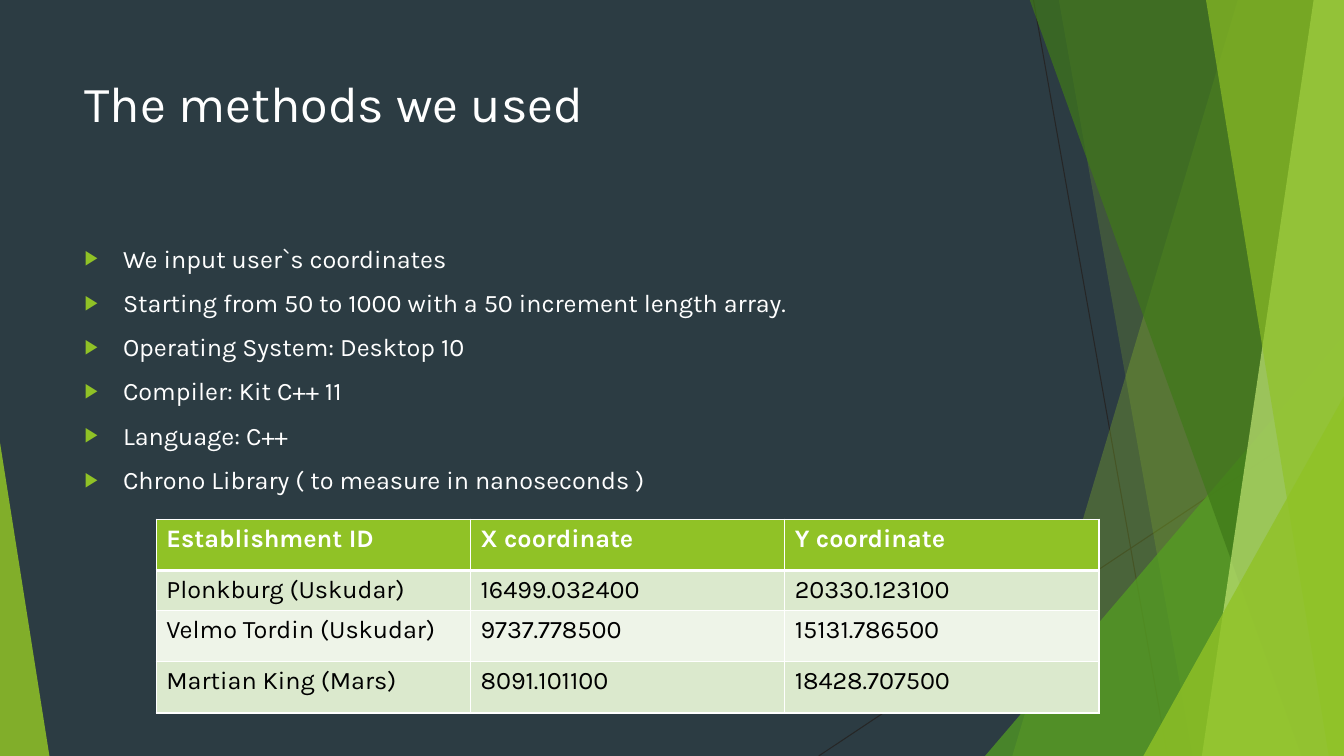
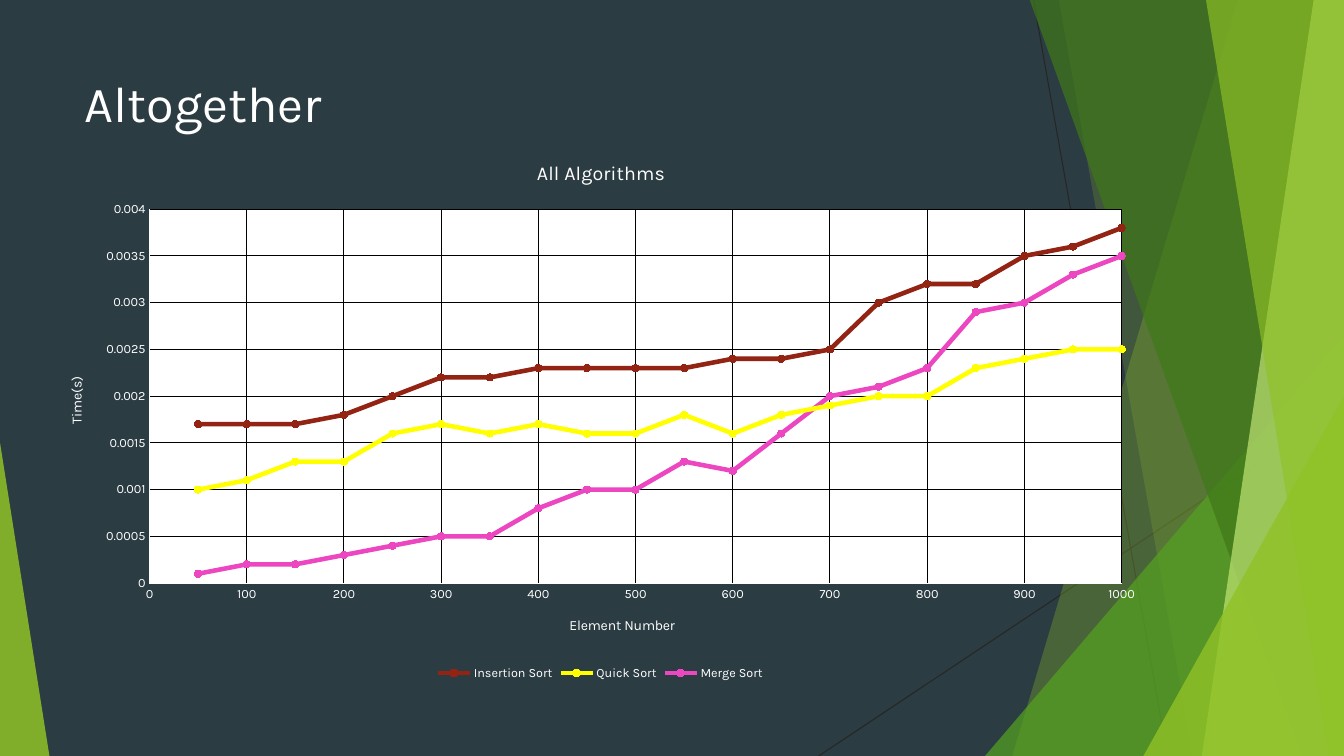
from itertools import count

from lxml import etree
from pptx import Presentation
from pptx.chart.data import XyChartData
from pptx.dml.color import RGBColor
from pptx.enum.chart import XL_CHART_TYPE as ChartType
from pptx.enum.chart import XL_LEGEND_POSITION as LegendPosition
from pptx.enum.chart import XL_MARKER_STYLE as MarkerStyle
from pptx.enum.chart import XL_TICK_MARK as TickMark
from pptx.enum.shapes import MSO_CONNECTOR as Connector
from pptx.enum.shapes import MSO_SHAPE as Preset
from pptx.enum.text import MSO_ANCHOR as Anchor
from pptx.enum.text import MSO_AUTO_SIZE as AutoSize
from pptx.enum.text import PP_ALIGN as Align
from pptx.oxml.ns import qn
from pptx.util import Inches, Pt

FONT = "Karla"
WIDTH, HEIGHT = 13.33, 7.5
WHITE, BLACK, SLATE, CHARCOAL = "FFFFFF", "000000", "2C3C43", "262626"
LIME, GREEN, FOREST, PALE_LIME = "90C226", "54A021", "3F7819", "C0E474"
ROW_TINTS = ["DBE9CD", "EEF4E8"]

THIN_LINES = [(10.25, 0, 11.58, 7.5), (13.33, 4.03, 8.12, 7.5)]
FACETS = [
    ("band", LIME, 30, (12.28, 10.04)),
    ("band", LIME, 20, (10.5, 11.83)),
    ("triangle", GREEN, 72, (9.77, 3.33, 3.56, 1)),
    ("band", FOREST, 70, (10.21, 12.91)),
    ("band", PALE_LIME, 70, (13.03, 11.92)),
    ("band", LIME, 65, (11.96, 13.18)),
    ("triangle", LIME, 80, (11.34, 3.93, 1.99, 1)),
    ("triangle", LIME, 85, (0, 4.39, 0.49, 0)),
]

METHODS = [
    "We input user`s coordinates",
    "Starting from 50 to 1000 with a 50 increment length array.",
    "Operating System: Desktop 10",
    "Compiler: Kit C++ 11",
    "Language: C++",
    "Chrono Library ( to measure in nanoseconds )",
]
PLACES = [
    ("Establishment ID", "X coordinate", "Y coordinate"),
    ("Plonkburg (Uskudar)", "16499.032400", "20330.123100"),
    ("Velmo Tordin (Uskudar)", "9737.778500", "15131.786500"),
    ("Martian King (Mars)", "8091.101100", "18428.707500"),
]
ROW_HEIGHTS = [0.51, 0.39, 0.51, 0.51]

ELEMENT_NUMBERS = range(50, 1001, 50)
TIMES = [
    ("Insertion Sort", "932313",
     [0.0017, 0.0017, 0.0017, 0.0018, 0.002, 0.0022, 0.0022, 0.0023, 0.0023, 0.0023,
      0.0023, 0.0024, 0.0024, 0.0025, 0.003, 0.0032, 0.0032, 0.0035, 0.0036, 0.0038]),
    ("Quick Sort", "FFFF00",
     [0.001, 0.0011, 0.0013, 0.0013, 0.0016, 0.0017, 0.0016, 0.0017, 0.0016, 0.0016,
      0.0018, 0.0016, 0.0018, 0.0019, 0.002, 0.002, 0.0023, 0.0024, 0.0025, 0.0025]),
    ("Merge Sort", "EC46C1",
     [0.0001, 0.0002, 0.0002, 0.0003, 0.0004, 0.0005, 0.0005, 0.0008, 0.001, 0.001,
      0.0013, 0.0012, 0.0016, 0.002, 0.0021, 0.0023, 0.0029, 0.003, 0.0033, 0.0035]),
]


def rgb(color):
    return RGBColor.from_string(color)


def add_child(parent, tag, **attributes):
    child = etree.SubElement(parent, qn(tag))
    for name, value in attributes.items():
        child.set(name, str(value))
    return child


def paint(fill, color):
    fill.solid()
    fill.fore_color.rgb = rgb(color)


def style_line(line, color, width):
    paint(line.fill, color)
    line.width = Pt(width)


def style_font(font, size, color=WHITE, bold=False):
    font.name, font.size, font.bold = FONT, Pt(size), bold
    font.color.rgb = rgb(color)


def place(shape, left, top, width, height):
    shape.left, shape.top = Inches(left), Inches(top)
    shape.width, shape.height = Inches(width), Inches(height)


def draw_facet(shapes, kind, color, opacity, geometry):
    if kind == "band":
        top_left, bottom_left = geometry
        corners = [(WIDTH, -0.01), (WIDTH, HEIGHT), (bottom_left, HEIGHT)]
        builder = shapes.build_freeform(Inches(top_left), Inches(-0.01))
        builder.add_line_segments([(Inches(x), Inches(y)) for x, y in corners])
        shape = builder.convert_to_shape()
    else:
        left, top, width, apex = geometry
        shape = shapes.add_shape(Preset.ISOSCELES_TRIANGLE, Inches(left), Inches(top),
                                 Inches(width), Inches(HEIGHT - top))
        shape.adjustments[0] = apex
    shape.shadow.inherit = False
    paint(shape.fill, color)
    shape.line.fill.background()
    add_child(shape.element.find(".//" + qn("a:srgbClr")), "a:alpha", val=opacity * 1000)


def build_master(master, slide):
    """Draw the backdrop on a slide and move it into the slide master."""
    paint(master.background.fill, SLATE)
    for ends in THIN_LINES:
        line = slide.shapes.add_connector(Connector.STRAIGHT, *map(Inches, ends))
        style_line(line.line, CHARCOAL, 0.75)
        add_child(line.element.spPr, "a:effectLst")
    for facet in FACETS:
        draw_facet(slide.shapes, *facet)
    identifiers = count(100)
    for shape in list(slide.shapes):
        if not shape.is_placeholder:
            shape.element.find(".//" + qn("p:cNvPr")).set("id", str(next(identifiers)))
            master.shapes.element.append(shape.element)


def set_title(slide, text):
    title = slide.shapes.title
    place(title, 0.74, 0.67, 9.4, 1.44)
    frame = title.text_frame
    frame.text = text
    frame.vertical_anchor, frame.auto_size = Anchor.TOP, AutoSize.NONE
    frame.paragraphs[0].alignment = Align.LEFT
    style_font(frame.paragraphs[0].font, 36)


def fill_list(body, items):
    place(body, 0.74, 2.36, 9.4, 4.24)
    frame = body.text_frame
    frame.text = "\n".join(items)
    frame.vertical_anchor, frame.auto_size = Anchor.TOP, AutoSize.NONE
    for paragraph in frame.paragraphs:
        paragraph.space_before = Pt(10)
        style_font(paragraph.font, 18)
        properties = paragraph._p.get_or_add_pPr()
        properties.set("marL", str(Inches(0.38)))
        properties.set("indent", str(Inches(-0.38)))
        default_run = properties.find(qn("a:defRPr"))
        bullet_color = add_child(properties, "a:buClr")
        add_child(bullet_color, "a:srgbClr", val=LIME)
        add_child(properties, "a:buSzPct", val=80000)
        add_child(properties, "a:buChar", char="▶")
        if default_run is not None:
            properties.append(default_run)


def set_borders(cell, top, bottom):
    properties = cell._tc.get_or_add_tcPr()
    for side, width in (("L", 1), ("R", 1), ("T", top), ("B", bottom)):
        border = add_child(properties, "a:ln" + side, w=Pt(width))
        add_child(add_child(border, "a:solidFill"), "a:srgbClr", val=WHITE)


def add_places_table(slide):
    table = slide.shapes.add_table(len(PLACES), len(PLACES[0]), Inches(1.55), Inches(5.15),
                                   Inches(9.35), Inches(sum(ROW_HEIGHTS))).table
    for row, (values, height) in enumerate(zip(PLACES, ROW_HEIGHTS)):
        table.rows[row].height = Inches(height)
        header = row == 0
        for column, value in enumerate(values):
            cell = table.cell(row, column)
            cell.text = value
            style_font(cell.text_frame.paragraphs[0].font, 18, WHITE if header else BLACK, header)
            set_borders(cell, 3 if row == 1 else 1, 3 if header else 1)
            paint(cell.fill, LIME if header else ROW_TINTS[(row - 1) % 2])


def set_layout(parent, **position):
    """Give a chart part a fixed place, in fractions of the chart."""
    layout = parent.find(qn("c:layout"))
    if layout is None:
        layout = etree.Element(qn("c:layout"))
        parent.insert(0 if parent.find(qn("c:tx")) is None else 1, layout)
    manual = add_child(layout, "c:manualLayout")
    if "w" in position:
        add_child(manual, "c:layoutTarget", val="inner")
    add_child(manual, "c:xMode", val="edge")
    add_child(manual, "c:yMode", val="edge")
    for name, value in position.items():
        add_child(manual, "c:" + name, val=value)


def set_chart_title(title, text, size, x, y):
    title.text_frame.text = text
    style_font(title.text_frame.paragraphs[0].font, size)
    set_layout(title.element, x=x, y=y)


def format_axis(axis, maximum, unit):
    axis.minimum_scale, axis.maximum_scale, axis.major_unit = 0, maximum, unit
    axis.major_tick_mark = axis.minor_tick_mark = TickMark.NONE
    axis.has_major_gridlines = True
    style_line(axis.major_gridlines.format.line, BLACK, 0.75)
    style_line(axis.format.line, WHITE, 0.75)
    axis.tick_labels.number_format = "General"
    axis.tick_labels.number_format_is_linked = False
    style_font(axis.tick_labels.font, 9)


def add_times_chart(slide):
    data = XyChartData()
    for name, _, times in TIMES:
        series = data.add_series(name)
        for number, time in zip(ELEMENT_NUMBERS, times):
            series.add_data_point(number, time)
    chart = slide.shapes.add_chart(ChartType.XY_SCATTER_LINES, Inches(0.42), Inches(1.39),
                                   Inches(11.07), Inches(5.4), data).chart
    style_font(chart.font, 10)
    chart.plots[0].vary_by_categories = False
    for series, (_, color, _) in zip(chart.plots[0].series, TIMES):
        style_line(series.format.line, color, 3.25)
        series.marker.style, series.marker.size = MarkerStyle.CIRCLE, 5
        paint(series.marker.format.fill, color)
        style_line(series.marker.format.line, color, 0.75)

    format_axis(chart.category_axis, 1000, 100)
    format_axis(chart.value_axis, 0.004, 0.0005)
    set_chart_title(chart.chart_title, "All Algorithms", 14, 0.44, 0.03)
    set_chart_title(chart.category_axis.axis_title, "Element Number", 10, 0.47, 0.87)
    time_title = chart.value_axis.axis_title
    set_chart_title(time_title, "Time(s)", 10, 0.02, 0.43)
    time_title.element.find(".//" + qn("a:bodyPr")).set("rot", "-5400000")

    chart.has_legend = True
    chart.legend.position = LegendPosition.BOTTOM
    chart.legend.include_in_layout = False
    style_font(chart.legend.font, 9)

    plot_area = chart.element.find(".//" + qn("c:plotArea"))
    set_layout(plot_area, x=0.096, y=0.127, w=0.871, h=0.687)
    plot_fill = add_child(add_child(plot_area, "c:spPr"), "a:solidFill")
    add_child(plot_fill, "a:srgbClr", val=WHITE)
    chart_area = etree.Element(qn("c:spPr"))
    add_child(chart_area, "a:noFill")
    add_child(add_child(chart_area, "a:ln"), "a:noFill")
    chart.element.find(qn("c:chart")).addnext(chart_area)


def main():
    presentation = Presentation()
    presentation.slide_width, presentation.slide_height = Inches(WIDTH), Inches(HEIGHT)
    layouts = presentation.slide_layouts

    methods_slide = presentation.slides.add_slide(layouts.get_by_name("Title and Content"))
    build_master(presentation.slide_master, methods_slide)
    set_title(methods_slide, "The methods we used")
    fill_list(methods_slide.placeholders[1], METHODS)
    add_places_table(methods_slide)

    times_slide = presentation.slides.add_slide(layouts.get_by_name("Title Only"))
    set_title(times_slide, "Altogether")
    add_times_chart(times_slide)

    presentation.save("out.pptx")


if __name__ == "__main__":
    main()
